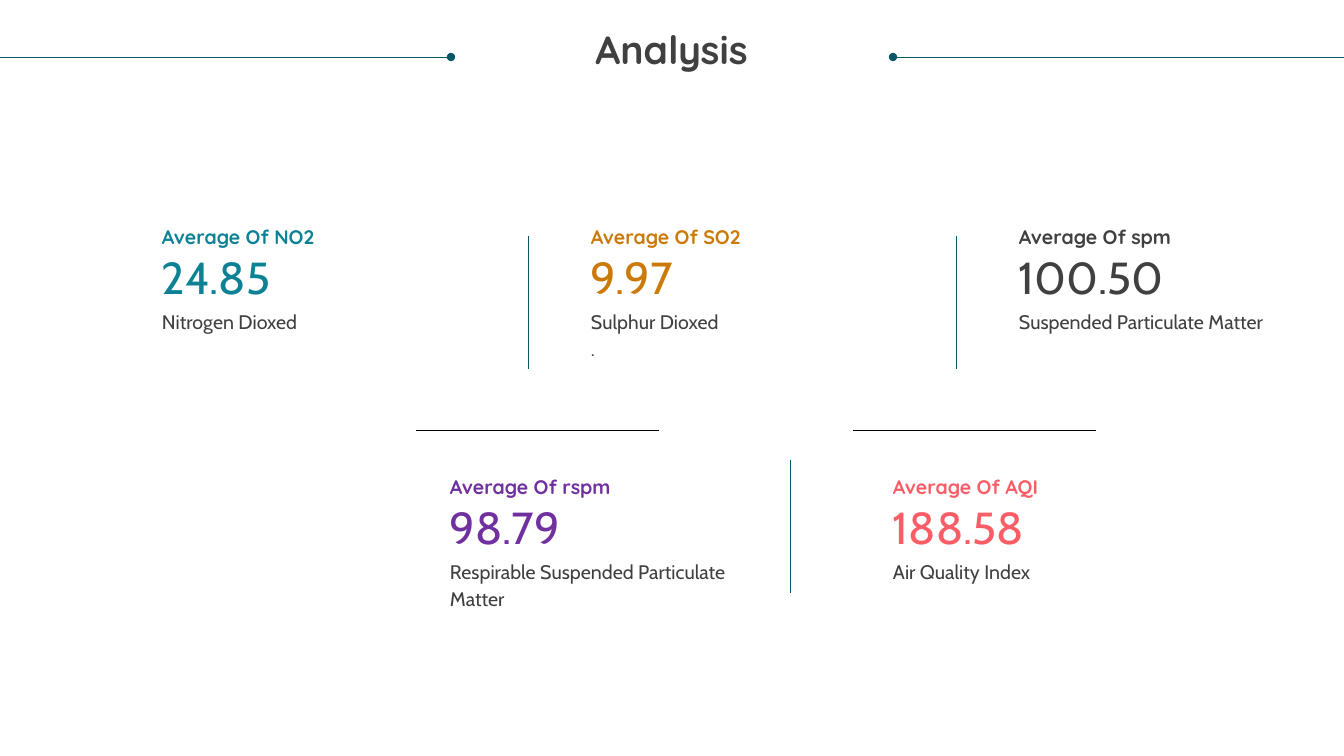
from lxml import etree
from pptx import Presentation
from pptx import util as u
from pptx.dml.color import RGBColor
from pptx.enum import shapes, text
from pptx.oxml.ns import qn

PX = 914400 / 100.8
TEAL, GREY, BLACK = "085764", "404040", "000000"


def px(length):
    return u.Emu(round(length * PX))


def add_text(left, top, width, height, lines, font, size, color, bold=False,
             spacing=None, align=text.PP_ALIGN.LEFT):
    box = page.shapes.add_textbox(px(left), px(top), px(width), px(height))
    frame = box.text_frame
    frame.word_wrap = True
    frame.margin_left = frame.margin_right = frame.margin_top = frame.margin_bottom = 0
    frame.text = lines
    for para in frame.paragraphs:
        para.alignment = align
        para.line_spacing = spacing
        para.font.name = font
        para.font.size = u.Pt(size)
        para.font.bold = bold
        para.font.color.rgb = RGBColor.from_string(color)


deck = Presentation()
deck.slide_width, deck.slide_height = px(1344), px(756)
page = deck.slides.add_slide(deck.slide_layouts[6])

# Title and rules: x1, y1, x2, y2, colour, end that carries a dot
add_text(25, 31, 1293, 86, "Analysis", "Quicksand", 28, GREY, True, 0.9,
         text.PP_ALIGN.CENTER)
rules = [
    (0, 57, 451, 57, TEAL, "a:tailEnd"),
    (893, 57, 1344, 57, TEAL, "a:headEnd"),
    (528, 236, 528, 369, TEAL, None),
    (956, 236, 956, 369, TEAL, None),
    (790, 460, 790, 593, TEAL, None),
    (416, 430, 659, 430, BLACK, None),
    (853, 430, 1096, 430, BLACK, None),
]
for x1, y1, x2, y2, color, dot_end in rules:
    rule = page.shapes.add_connector(
        shapes.MSO_CONNECTOR.STRAIGHT, px(x1), px(y1), px(x2), px(y2))
    rule.line.width = u.Pt(0.5)
    rule.line.color.rgb = RGBColor.from_string(color)
    properties = rule._element.spPr
    if dot_end:
        etree.SubElement(properties.find(qn("a:ln")), qn(dot_end), type="oval")
    etree.SubElement(properties, qn("a:effectLst"))

# Averages: left, top, label, value, note, colour
averages = [
    (162, 222, "Average Of NO2", "24.85", "Nitrogen Dioxed", "0D8295"),
    (591, 222, "Average Of SO2", "9.97", "Sulphur Dioxed\n.", "CB7A09"),
    (1019, 222, "Average Of spm", "100.50", "Suspended Particulate Matter", GREY),
    (450, 472, "Average Of rspm", "98.79",
     "Respirable Suspended Particulate Matter", "7030A0"),
    (893, 472, "Average Of AQI", "188.58", "Air Quality Index", "FB5D66"),
]
for left, top, label, value, note, color in averages:
    add_text(left, top, 302, 24, label, "Quicksand", 14, color, True, u.Pt(19))
    add_text(left, top + 28, 302, 54, value, "Cabin", 32, color)
    add_text(left, top + 85, 302, 51, note, "Cabin", 14, GREY, spacing=u.Pt(19))

deck.save("out.pptx")
